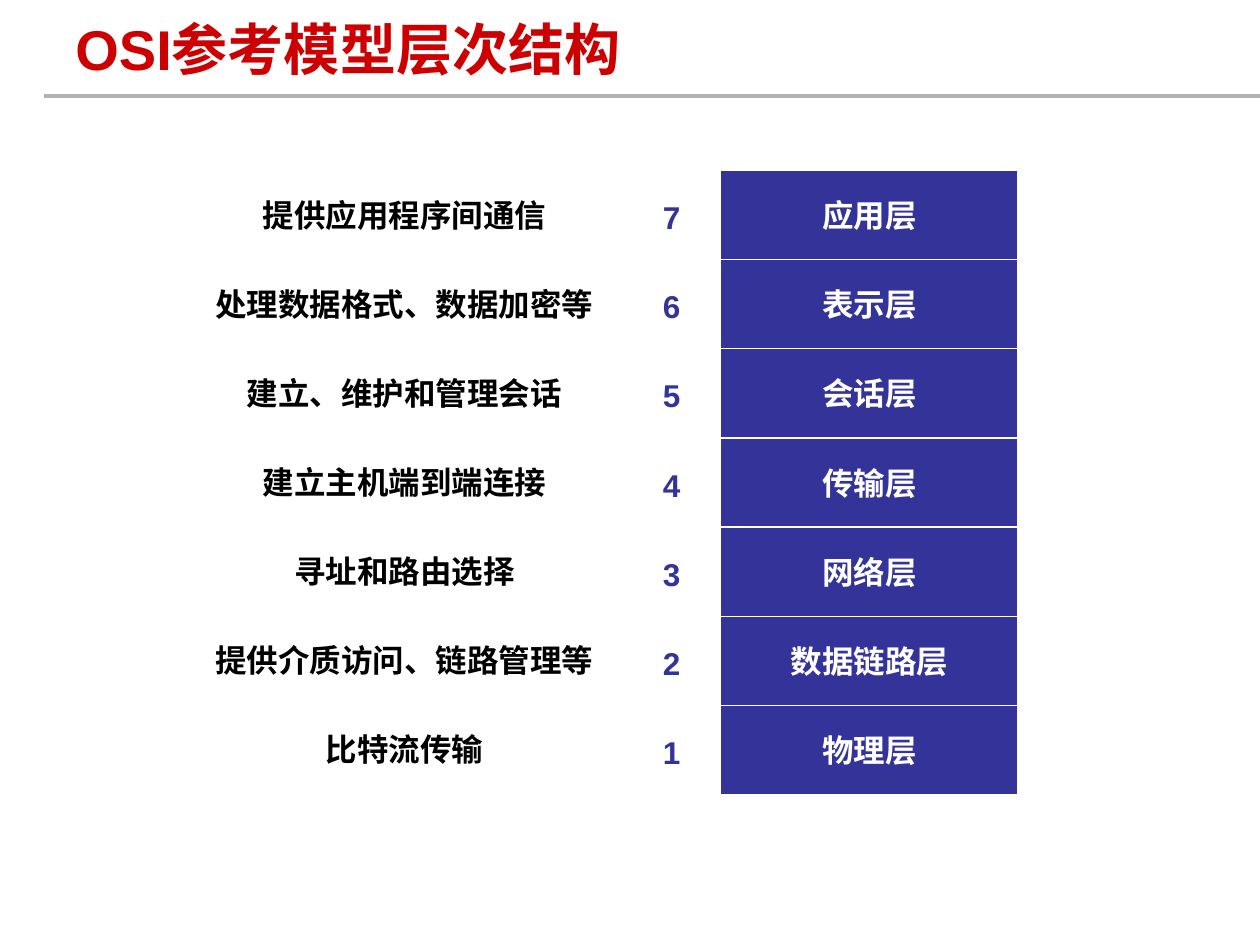
import pptx
import pptx.dml.color
import pptx.enum.shapes
import pptx.enum.text
import pptx.oxml.ns
import pptx.util
from lxml import etree

Inches = pptx.util.Inches
Pt = pptx.util.Pt
RGBColor = pptx.dml.color.RGBColor
ALIGN = pptx.enum.text.PP_ALIGN
ANCHOR = pptx.enum.text.MSO_ANCHOR
AUTO_SIZE = pptx.enum.text.MSO_AUTO_SIZE

RED = RGBColor(0xCC, 0x00, 0x00)
BLUE = RGBColor(0x33, 0x33, 0x99)
GRAY = RGBColor(0xB2, 0xB2, 0xB2)
WHITE = RGBColor(0xFF, 0xFF, 0xFF)
BLACK = RGBColor(0x00, 0x00, 0x00)

LAYERS = [
    ("应用层", "提供应用程序间通信"),
    ("表示层", "处理数据格式、数据加密等"),
    ("会话层", "建立、维护和管理会话"),
    ("传输层", "建立主机端到端连接"),
    ("网络层", "寻址和路由选择"),
    ("数据链路层", "提供介质访问、链路管理等"),
    ("物理层", "比特流传输"),
]


def write_text(shape, text, *, color, size=18, font="Arial", align=ALIGN.CENTER,
               anchor=ANCHOR.TOP, wrap=False, auto_size=AUTO_SIZE.NONE):
    frame = shape.text_frame
    frame.word_wrap = wrap
    frame.auto_size = auto_size
    frame.vertical_anchor = anchor
    paragraph = frame.paragraphs[0]
    paragraph.alignment = align
    run = paragraph.add_run()
    run.text = text
    run.font.name = font
    run.font.size = Pt(size)
    run.font.bold = True
    run.font.color.rgb = color


def add_heading(slide, left, top, width, height):
    title = slide.shapes.add_textbox(left, top, width, height)
    write_text(title, "OSI参考模型层次结构", color=RED, size=32,
               align=ALIGN.LEFT, anchor=ANCHOR.MIDDLE, wrap=True)
    rule_y = top + Inches(0.71)
    rule = slide.shapes.add_connector(
        pptx.enum.shapes.MSO_CONNECTOR.STRAIGHT,
        left - Inches(0.15), rule_y, Inches(10), rule_y)
    rule.line.color.rgb = GRAY
    rule.line.width = Pt(2.25)
    etree.SubElement(rule._element.spPr, pptx.oxml.ns.qn("a:effectLst"))


def add_layer_stack(slide, left, top, width, height):
    row_height = height / len(LAYERS)
    for row, (name, _) in enumerate(LAYERS):
        layer = slide.shapes.add_shape(
            pptx.enum.shapes.MSO_SHAPE.RECTANGLE,
            left, round(top + row * row_height), width, round(row_height))
        layer.shadow.inherit = False
        layer.fill.solid()
        layer.fill.fore_color.rgb = BLUE
        layer.line.color.rgb = WHITE
        layer.line.width = Pt(0.75)
        write_text(layer, name, color=WHITE, font="Times New Roman",
                   anchor=ANCHOR.MIDDLE)


def add_numbers(slide, left, top, width, height):
    row_height = height / len(LAYERS)
    for row in range(len(LAYERS)):
        number = slide.shapes.add_textbox(
            left, round(top + row * row_height), width, Inches(0.4))
        write_text(number, str(len(LAYERS) - row), color=BLUE,
                   auto_size=AUTO_SIZE.SHAPE_TO_FIT_TEXT)


def add_descriptions(slide, left, top, width, height):
    row_height = height / len(LAYERS)
    for row, (_, duty) in enumerate(LAYERS):
        duty_width = Inches(0.2 + 0.25 * len(duty))
        description = slide.shapes.add_textbox(
            left + (width - duty_width) // 2, round(top + row * row_height),
            duty_width, Inches(0.4))
        write_text(description, duty, color=BLACK, wrap=False,
                   auto_size=AUTO_SIZE.SHAPE_TO_FIT_TEXT)


def main():
    presentation = pptx.Presentation()
    presentation.slide_width = Inches(10)
    presentation.slide_height = Inches(7.5)
    slide = presentation.slides.add_slide(presentation.slide_layouts[6])
    add_heading(slide, Inches(0.5), Inches(0.05), Inches(7.92), Inches(0.67))
    add_layer_stack(slide, Inches(5.72), Inches(1.35), Inches(2.36), Inches(4.96))
    add_numbers(slide, Inches(5.16), Inches(1.52), Inches(0.34), Inches(4.96))
    add_descriptions(slide, Inches(1.61), Inches(1.51), Inches(3.2), Inches(4.94))
    presentation.save("out.pptx")


if __name__ == "__main__":
    main()
